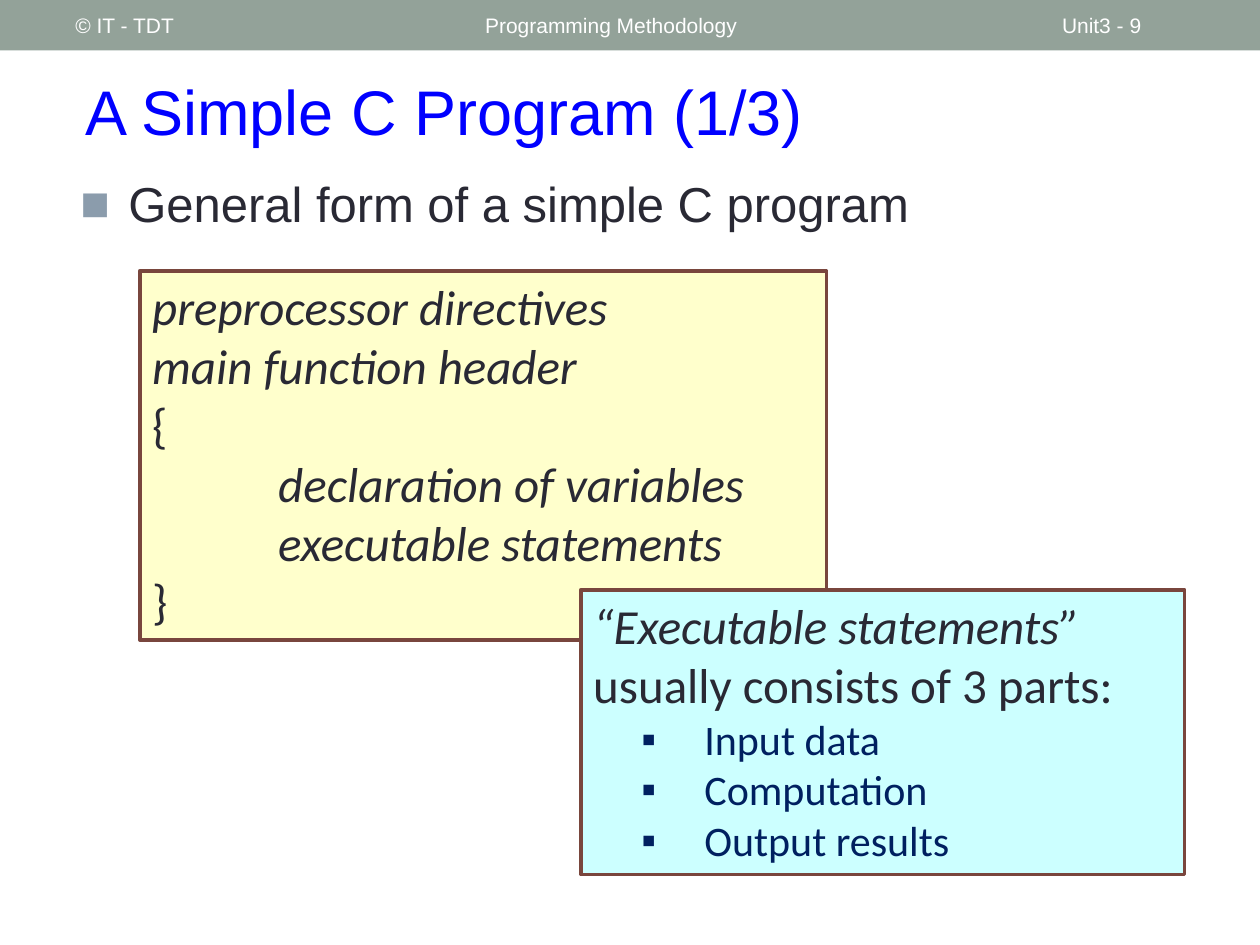
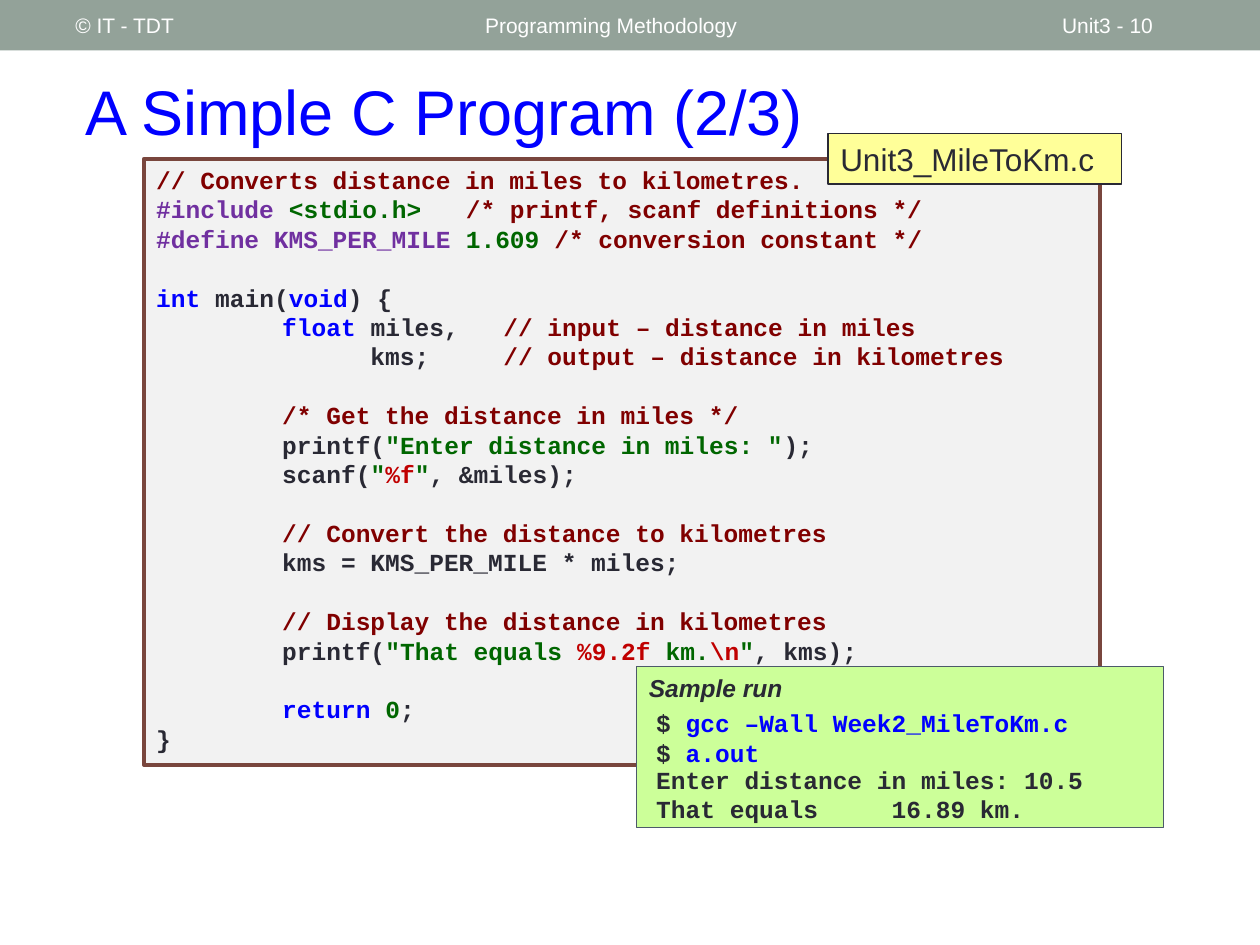
from dataclasses import dataclass

from lxml import etree
from pptx import Presentation
from pptx.dml.color import RGBColor
from pptx.enum.shapes import MSO_SHAPE
from pptx.enum.text import MSO_ANCHOR, PP_ALIGN
from pptx.oxml.ns import qn
from pptx.util import Cm, Pt

RECT = MSO_SHAPE.RECTANGLE
TOP, MIDDLE = MSO_ANCHOR.TOP, MSO_ANCHOR.MIDDLE
LEFT = PP_ALIGN.LEFT


@dataclass(frozen=True)
class Theme:
    """Colours, fonts and type sizes of the deck."""
    band: str = "93A299"
    white: str = "FFFFFF"
    ink: str = "292934"
    blue: str = "0000FF"
    navy: str = "002060"
    bullet: str = "8B9CAC"
    brown: str = "79463D"
    slate: str = "4C5A6A"
    form_fill: str = "FFFFCC"
    parts_fill: str = "CCFFFF"
    code_fill: str = "F2F2F2"
    file_fill: str = "FFFF99"
    sample_fill: str = "CCFF99"
    comment: str = "800000"
    directive: str = "7030A0"
    literal: str = "006600"
    escape: str = "C00000"
    sans: str = "Arial"
    human: str = "Calibri"
    mono: str = "Courier New"
    title_size: int = 36
    body_size: int = 28
    part_size: int = 24
    file_size: int = 18
    code_size: int = 14
    footer_size: int = 12
    leading: float = 1.2


T = Theme()


def write(tf, lines, size, font=T.sans, color=T.ink, bold=False, italic=False,
          leading=None, bullet=None, bullet_color=None, indent=(0, 0), more=False):
    """Write lines of text or (text, overrides) runs; None leaves a one-line gap."""
    gap = False
    for line in lines:
        if line is None:
            gap = True
            continue
        p = tf.add_paragraph() if more else tf.paragraphs[0]
        more = True
        p.alignment = LEFT
        if leading:
            p.line_spacing = Pt(size * leading)
        p.space_before = Pt(size * T.leading if gap else 0)
        gap = False
        pPr = p._p.get_or_add_pPr()
        if bullet:
            pPr.set("marL", str(Cm(indent[0])))
            pPr.set("indent", str(Cm(indent[1])))
            clr = etree.SubElement(pPr, qn("a:buClr"))
            etree.SubElement(clr, qn("a:srgbClr"), val=bullet_color)
            etree.SubElement(pPr, qn("a:buFont"), typeface=T.sans)
            etree.SubElement(pPr, qn("a:buChar"), char=bullet)
        tabs = etree.SubElement(pPr, qn("a:tabLst"))
        etree.SubElement(tabs, qn("a:tab"), pos=str(Cm(2.54)), algn="l")
        for text, changes in [(line, {})] if isinstance(line, str) else line:
            r = p.add_run()
            r.text = text
            r.font.size = Pt(size)
            r.font.name = font
            r.font.bold = bold
            r.font.italic = changes.get("italic", italic)
            r.font.color.rgb = RGBColor.from_string(changes.get("color", color))


class Deck:
    """Holds the presentation, its theme and the current slide."""

    def __init__(self, theme):
        """Start an empty 4:3 deck."""
        self.theme = theme
        self.prs = Presentation()
        self.prs.slide_width, self.prs.slide_height = Cm(25.4), Cm(19.05)
        self.s = None

    def slide(self, title, number):
        """Add a slide with its band, footers and title."""
        t = self.theme
        self.s = self.prs.slides.add_slide(self.prs.slide_layouts[6])
        self.box(0, 0, 25.4, 1.02, t.band)
        for x, w, text in ((1.27, 8.05, "© IT - TDT"),
                           (9.53, 11.43, "Programming Methodology"),
                           (21.16, 2.97, f"Unit3 - {number}")):
            self.text(x, 0.05, w, 0.91, [text], anchor=MIDDLE,
                      size=t.footer_size, color=t.white)
        self.text(1.47, 1.27, 22.66, 1.91, [title], anchor=MIDDLE,
                  size=t.title_size, color=t.blue)

    def text(self, x, y, w, h, lines, anchor=TOP, **fmt):
        """Add a wrapping text box."""
        sp = self.s.shapes.add_textbox(Cm(x), Cm(y), Cm(w), Cm(h))
        return self.fill_text(sp, lines, anchor, fmt)

    def box(self, x, y, w, h, fill, line=None, weight=0.75, lines=(), **fmt):
        """Add a filled rectangle, with an outline and text if given."""
        sp = self.s.shapes.add_shape(RECT, Cm(x), Cm(y), Cm(w), Cm(h))
        sp.shadow.inherit = False
        sp.fill.solid()
        sp.fill.fore_color.rgb = RGBColor.from_string(fill)
        if line:
            sp.line.color.rgb = RGBColor.from_string(line)
            sp.line.width = Pt(weight)
        else:
            sp.line.fill.background()
        return self.fill_text(sp, lines, TOP, fmt)

    def fill_text(self, sp, lines, anchor, fmt):
        """Set up the text frame of a shape and write into it."""
        tf = sp.text_frame
        tf.word_wrap = True
        tf.vertical_anchor = anchor
        if lines:
            write(tf, lines, **fmt)
        return tf


def paint(color):
    """Return a function that makes a run in one colour."""
    return lambda text: (text, {"color": color})


plain, keyword, comment = paint(T.ink), paint(T.blue), paint(T.comment)
directive, literal, escape = paint(T.directive), paint(T.literal), paint(T.escape)
upright = {"italic": False}

GENERAL_FORM = [
    "preprocessor directives",
    "main function header",
    [("{", upright)],
    "\tdeclaration of variables",
    "\texecutable statements",
    [("}", upright)],
]

PROGRAM = [
    [comment("// Converts distance in miles to kilometres.")],
    [directive("#include "), literal("<stdio.h>   "),
     comment("/* printf, scanf definitions */")],
    [directive("#define KMS_PER_MILE "), literal("1.609 "),
     comment("/* conversion constant */")],
    None,
    [keyword("int"), plain(" main("), keyword("void"), plain(") {")],
    [keyword("\tfloat"), plain(" miles,   "), comment("// input – distance in miles")],
    [plain("\t      kms;     "), comment("// output – distance in kilometres")],
    None,
    [comment("\t/* Get the distance in miles */")],
    [plain("\tprintf("), literal('"Enter distance in miles: "'), plain(");")],
    [plain("\tscanf("), literal('"'), escape("%f"), literal('"'), plain(", &miles);")],
    None,
    [comment("\t// Convert the distance to kilometres")],
    "\tkms = KMS_PER_MILE * miles;",
    None,
    [comment("\t// Display the distance in kilometres")],
    [plain("\tprintf("), literal('"That equals '), escape("%9.2f "), literal("km."),
     escape("\\n"), literal('"'), plain(", kms);")],
    None,
    [keyword("\treturn "), literal("0"), plain(";")],
    "}",
]

COMMANDS = [
    [plain("$ "), keyword("gcc –Wall Week2_MileToKm.c")],
    [plain("$ "), keyword("a.out")],
]
OUTPUT = ["Enter distance in miles: 10.5", "That equals     16.89 km."]


def general_form(deck):
    """Build the slide on the general form of a program."""
    t = deck.theme
    deck.slide("A Simple C Program (1/3)", 9)
    deck.text(1.37, 3.38, 21.92, 2.08, ["General form of a simple C program"],
              size=t.body_size, bullet="■", bullet_color=t.bullet, indent=(0.97, -0.97))
    prose = dict(size=t.body_size, font=t.human, leading=t.leading)
    deck.box(2.82, 5.46, 13.84, 7.44, t.form_fill, t.brown, 2.08,
             GENERAL_FORM, italic=True, **prose)
    tf = deck.box(11.71, 11.89, 12.17, 5.74, t.parts_fill, t.brown, 2.08,
                  [[("“Executable statements” ", {"italic": True}),
                    ("usually consists of 3 parts:", {})]], **prose)
    write(tf, ["Input data", "Computation", "Output results"], t.part_size, t.human,
          t.navy, leading=t.leading, bullet="▪", bullet_color=t.navy,
          indent=(2.24, -1.27), more=True)


def mile_program(deck):
    """Build the slide with the conversion program and its sample run."""
    t = deck.theme
    deck.slide("A Simple C Program (2/3)", 10)
    code = dict(size=t.code_size, font=t.mono, bold=True, leading=t.leading)
    deck.box(2.9, 3.2, 19.28, 12.22, t.code_fill, t.brown, 2.08, PROGRAM, **code)
    deck.box(16.69, 2.69, 5.92, 1.02, t.file_fill, t.ink,
             lines=["Unit3_MileToKm.c"], size=t.file_size)
    deck.box(12.83, 13.44, 10.62, 3.25, t.sample_fill, t.slate,
             lines=["Sample run"], size=t.code_size, bold=True, italic=True)
    for y, lines in ((14.15, COMMANDS), (15.29, OUTPUT)):
        deck.text(12.98, y, 9.6, 1.45, lines, **code)


def main():
    """Build and save the deck."""
    deck = Deck(T)
    general_form(deck)
    mile_program(deck)
    deck.prs.save("out.pptx")


if __name__ == "__main__":
    main()
